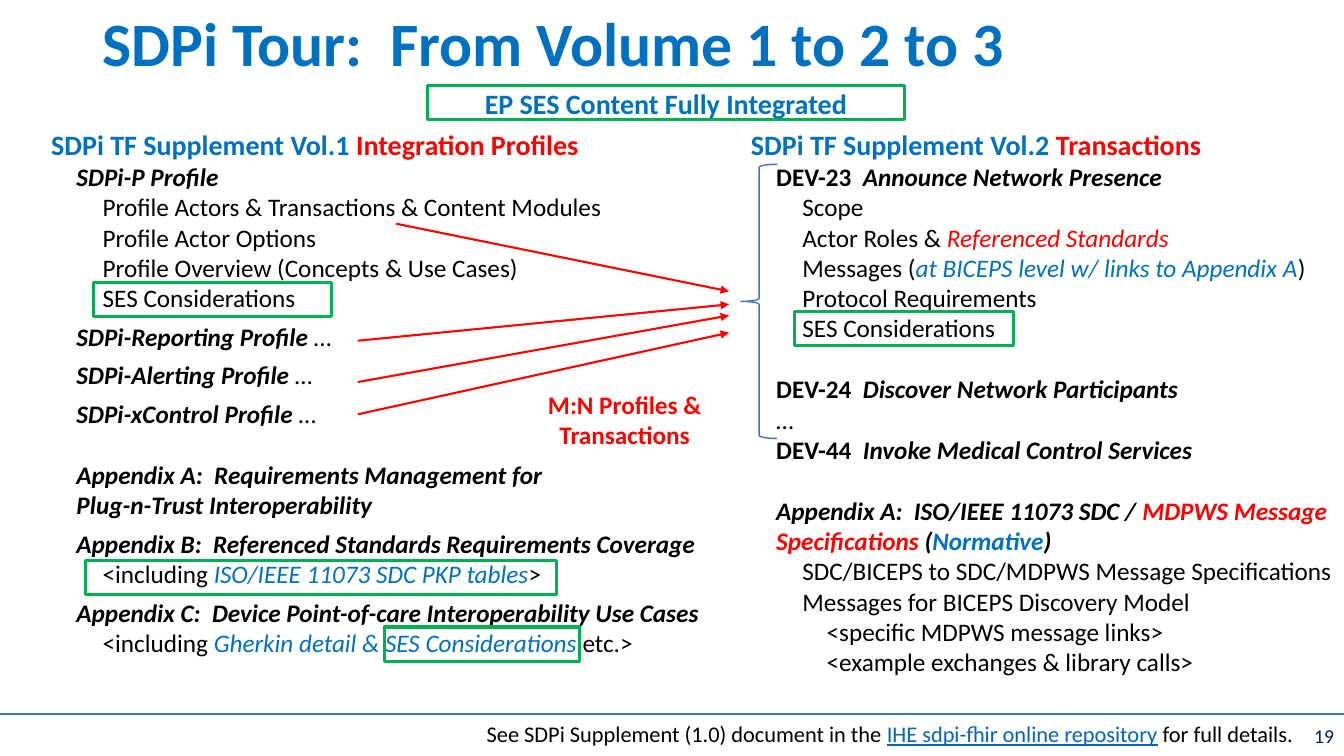
import pptx
import pptx.util
import pptx.dml.color
import pptx.enum.shapes
import pptx.enum.text
import lxml.etree
from pptx.oxml.ns import qn

Inches = pptx.util.Inches
Pt = pptx.util.Pt
Align = pptx.enum.text.PP_ALIGN
Anchor = pptx.enum.text.MSO_ANCHOR
Shape = pptx.enum.shapes.MSO_SHAPE
hues = {"blue": "0070C0", "red": "FF0000", "black": "000000", "navy": "002060",
        "link": "0563C1", "green": "00B050", "rule": "4472C4"}


def write(frame, rows, size, align=Align.LEFT, anchor=Anchor.TOP):
    frame.word_wrap = True
    frame.vertical_anchor = anchor
    for num, (left, gap, runs) in enumerate(rows):
        para = frame.paragraphs[0] if num == 0 else frame.add_paragraph()
        para.alignment = align
        para.space_before = Pt(gap)
        props = para._p.get_or_add_pPr()
        props.set("marL", str(Inches(left)))
        props.set("indent", "0")
        for text, marks, hue in runs:
            if text == "\n":
                para.add_line_break()
                continue
            run = para.add_run()
            run.text = text
            run.font.name = "Calibri"
            run.font.size = Pt(20 if size == 18 and left == 0 and len(rows) > 1 else size)
            run.font.bold = "b" in marks
            run.font.italic = "i" in marks
            run.font.underline = "u" in marks
            run.font.color.rgb = pptx.dml.color.RGBColor.from_string(hues[hue])


def draw_line(x1, y1, x2, y2, hue, head=False):
    line = slide.shapes.add_connector(pptx.enum.shapes.MSO_CONNECTOR.STRAIGHT,
                                      Inches(x1), Inches(y1), Inches(x2), Inches(y2))
    line.line.color.rgb = pptx.dml.color.RGBColor.from_string(hues[hue])
    line.line.width = Pt(1.5)
    if head:
        tip = lxml.etree.SubElement(line.line._get_or_add_ln(), qn("a:tailEnd"))
        tip.set("type", "triangle")
    lxml.etree.SubElement(line._element.spPr, qn("a:effectLst"))


deck = pptx.Presentation()
deck.slide_width = Inches(13.33)
deck.slide_height = Inches(7.5)
slide = deck.slides.add_slide(deck.slide_layouts[5])

draw_line(0, 7.08, 13.33, 7.08, "rule")

title = slide.shapes.title
title.left, title.top = Inches(0.92), Inches(0.02)
title.width, title.height = Inches(11.5), Inches(0.88)
write(title.text_frame, [(0, 0, [("SDPi Tour:  From Volume 1 to 2 to 3", "b", "blue")])],
      44, anchor=Anchor.MIDDLE)
title.text_frame.paragraphs[0].line_spacing = 0.9

first = [
    (0, 0, [("SDPi TF Supplement Vol.1 ", "b", "blue"), ("Integration Profiles", "b", "red")]),
    (0.25, 0, [("SDPi-P Profile", "bi", "black")]),
    (0.51, 0, [("Profile Actors & Transactions & Content Modules", "", "black")]),
    (0.51, 0, [("Profile Actor Options", "", "black")]),
    (0.51, 0, [("Profile Overview (Concepts & Use Cases)", "", "black")]),
    (0.51, 0, [("SES Considerations", "", "black")]),
    (0.25, 6, [("SDPi-Reporting Profile ", "bi", "black"), ("…", "", "black")]),
    (0.25, 6, [("SDPi-Alerting Profile ", "bi", "black"), ("…", "", "black")]),
    (0.25, 6, [("SDPi-xControl Profile ", "bi", "black"), ("…", "", "black")]),
    (0.25, 22, [("Appendix A:  Requirements Management for", "bi", "black"), ("\n", "", "black"),
                ("Plug-n-Trust Interoperability", "bi", "black")]),
    (0.25, 6, [("Appendix B:  Referenced Standards Requirements Coverage", "bi", "black")]),
    (0.51, 0, [("<including ", "", "black"), ("ISO/IEEE 11073 SDC PKP tables", "i", "blue"),
               (">", "", "black")]),
    (0.25, 6, [("Appendix C:  Device Point-of-care Interoperability Use Cases", "bi", "black")]),
    (0.51, 0, [("<including ", "", "black"),
               ("Gherkin detail & SES Considerations ", "i", "blue"), ("etc.>", "", "black")]),
]
second = [
    (0, 0, [("SDPi TF Supplement Vol.2 ", "b", "blue"), ("Transactions", "b", "red")]),
    (0.25, 0, [("DEV-23  ", "b", "black"), ("Announce Network Presence", "bi", "black")]),
    (0.51, 0, [("Scope", "", "black")]),
    (0.51, 0, [("Actor Roles & ", "", "black"), ("Referenced Standards", "i", "red")]),
    (0.51, 0, [("Messages (", "", "black"),
               ("at BICEPS level w/ links to Appendix A", "i", "blue"), (")", "", "black")]),
    (0.51, 0, [("Protocol Requirements", "", "black")]),
    (0.51, 0, [("SES Considerations", "", "black")]),
    (0.25, 22, [("DEV-24", "b", "black"), ("  Discover Network Participants", "bi", "black")]),
    (0.25, 0, [("…", "", "black")]),
    (0.25, 0, [("DEV-44", "b", "black"), ("  Invoke Medical Control Services", "bi", "black")]),
    (0.25, 22, [("Appendix A:  ISO/IEEE 11073 SDC / ", "bi", "black"),
                ("MDPWS Message Specifications", "bi", "red"), (" (", "bi", "black"),
                ("Normative", "bi", "blue"), (")", "bi", "black")]),
    (0.51, 0, [("SDC/BICEPS to SDC/MDPWS Message Specifications", "", "black")]),
    (0.51, 0, [("Messages for BICEPS Discovery Model", "", "black")]),
    (0.75, 0, [("<specific MDPWS message links>", "", "black")]),
    (0.75, 0, [("<example exchanges & library calls>", "", "black")]),
]
page = [(0, 0, [("19", "", "navy")])]
note = [(0, 0, [("See SDPi Supplement (1.0) document in the ", "", "black"),
                ("IHE sdpi-fhir online repository", "u", "link"),
                (" for full details.", "", "black")])]
ratio = [(0, 0, [("M:N Profiles & Transactions", "b", "red")])]

for x, y, wide, high, rows, size, align, anchor in [
    (12.07, 7.1, 1.26, 0.4, page, 14, Align.RIGHT, Anchor.MIDDLE),
    (0.41, 1.22, 6.71, 5.87, first, 18, Align.LEFT, Anchor.TOP),
    (7.35, 1.22, 5.98, 5.59, second, 18, Align.LEFT, Anchor.TOP),
    (4.55, 7.1, 8.37, 0.37, note, 16, Align.RIGHT, Anchor.TOP),
    (5.05, 3.81, 2.29, 0.71, ratio, 18, Align.CENTER, Anchor.TOP),
]:
    box = slide.shapes.add_textbox(Inches(x), Inches(y), Inches(wide), Inches(high))
    write(box.text_frame, rows, size, align, anchor)

for x, start, end in [(3.55, 3.38, 3.02), (3.55, 3.79, 3.13), (3.55, 4.11, 3.3), (3.93, 2.22, 2.89)]:
    draw_line(x, start, 7.23, end, "red", True)

for kind, x, y, wide, high, hue, weight in [
    (Shape.LEFT_BRACE, 7.35, 1.63, 0.36, 2.72, "rule", 1),
    (Shape.RECTANGLE, 0.93, 2.8, 2.36, 0.34, "green", 2.25),
    (Shape.RECTANGLE, 0.85, 5.56, 4.67, 0.34, "green", 2.25),
    (Shape.RECTANGLE, 3.81, 6.22, 1.94, 0.34, "green", 2.25),
    (Shape.RECTANGLE, 7.88, 3.09, 2.17, 0.34, "green", 2.25),
    (Shape.RECTANGLE, 4.24, 0.85, 4.73, 0.34, "green", 2.25),
]:
    frame = slide.shapes.add_shape(kind, Inches(x), Inches(y), Inches(wide), Inches(high))
    frame.shadow.inherit = False
    frame.fill.background()
    frame.line.color.rgb = pptx.dml.color.RGBColor.from_string(hues[hue])
    frame.line.width = Pt(weight)

write(frame.text_frame, [(0, 0, [("EP SES Content Fully Integrated", "b", "blue")])],
      20, Align.CENTER, Anchor.MIDDLE)

deck.save("out.pptx")
